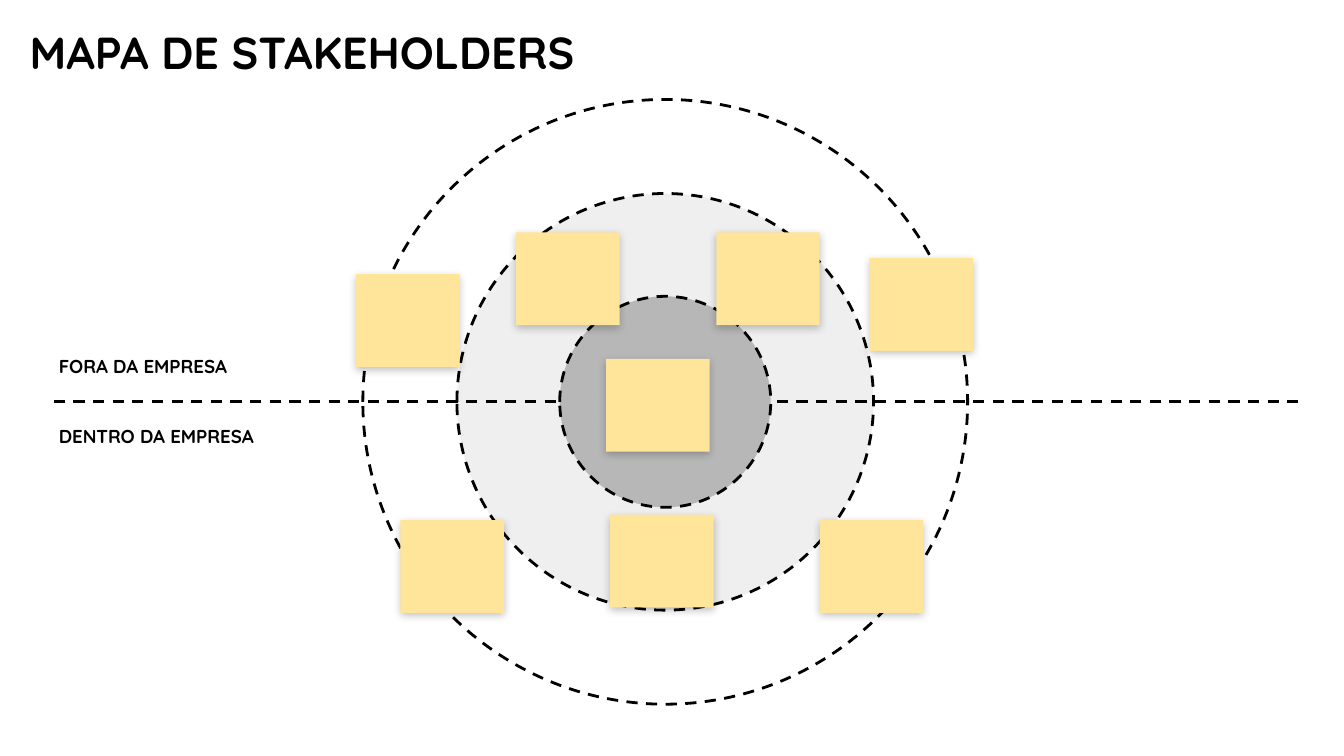
from lxml.etree import SubElement
from pptx import Presentation
from pptx.dml.color import RGBColor
from pptx.enum.dml import MSO_LINE as Dash
from pptx.enum.shapes import MSO_CONNECTOR as Conn, MSO_SHAPE as Kind
from pptx.enum.text import MSO_ANCHOR as Anchor, MSO_AUTO_SIZE as Fit, PP_ALIGN as Align
from pptx.oxml import parse_xml
from pptx.oxml.ns import nsdecls, qn
from pptx.util import Inches, Pt

BLACK = RGBColor(0x00, 0x00, 0x00)
WHITE = RGBColor(0xFF, 0xFF, 0xFF)
PALE = RGBColor(0xEF, 0xEF, 0xEF)
GREY = RGBColor(0xB7, 0xB7, 0xB7)
NOTE = RGBColor(0xFF, 0xE5, 0x99)

SHADE = (f'<a:outerShdw {nsdecls("a")} blurRad="{Pt(4.5)}" dist="{Pt(1.5)}" '
         'dir="5400000" algn="bl" rotWithShape="0">'
         '<a:srgbClr val="000000"><a:alpha val="24000"/></a:srgbClr></a:outerShdw>')

# A 16:9 slide
deck = Presentation()
deck.slide_width, deck.slide_height = Inches(10), Inches(10 * 9 / 16)
slide = deck.slides.add_slide(deck.slide_layouts[5])
shapes = slide.shapes
mid_x, mid_y = 4.95, 2.99


def stroke(line):
    line.color.rgb = BLACK
    line.width = Pt(1.5)
    line.dash_style = Dash.DASH


def write(box, text, size, inset):
    frame = box.text_frame
    frame.word_wrap = True
    frame.auto_size = Fit.NONE
    frame.vertical_anchor = Anchor.MIDDLE
    frame.margin_left = frame.margin_right = Inches(inset)
    frame.margin_top = frame.margin_bottom = Inches(inset)
    para = frame.paragraphs[0]
    para.alignment = Align.LEFT
    run = para.add_run()
    run.text = text
    font = run.font
    font.name, font.size, font.bold = "Quicksand", Pt(size), True
    font.color.rgb = BLACK


# Title
title = shapes.title
title.left, title.top = Inches(0.18), Inches(0.16)
title.width, title.height = Inches(8.38), Inches(0.45)
write(title, "MAPA DE STAKEHOLDERS", 24, 0.04)

# Rings around one centre
for size, fill in ((4.5, WHITE), (3.1, PALE), (1.57, GREY)):
    ring = shapes.add_shape(Kind.OVAL, Inches(mid_x - size / 2), Inches(mid_y - size / 2),
                            Inches(size), Inches(size))
    ring.shadow.inherit = False
    ring.fill.solid()
    ring.fill.fore_color.rgb = fill
    stroke(ring.line)

# Border between outside and inside
for start, end in ((0.4, 4.17), (5.78, 9.71)):
    rule = shapes.add_connector(Conn.STRAIGHT, Inches(start), Inches(mid_y),
                                Inches(end), Inches(mid_y))
    stroke(rule.line)
    SubElement(rule._element.spPr, qn("a:effectLst"))

# Labels above and below the border
for text, top, width in (("FORA DA EMPRESA", 2.54, 2.55), ("DENTRO DA EMPRESA", 3.06, 2.86)):
    label = shapes.add_textbox(Inches(0.34), Inches(top), Inches(width), Inches(0.37))
    write(label, text, 10, 0.1)

# Sticky notes
spots = ((4.51, 2.67), (2.65, 2.04), (3.84, 1.73), (5.33, 1.73),
         (4.54, 3.83), (2.98, 3.87), (6.1, 3.87), (6.47, 1.92))
for left, top in spots:
    note = shapes.add_shape(Kind.RECTANGLE, Inches(left), Inches(top), Inches(0.77), Inches(0.69))
    note.fill.solid()
    note.fill.fore_color.rgb = NOTE
    note.line.fill.background()
    note.shadow.inherit = False
    note._element.spPr.find(qn("a:effectLst")).append(parse_xml(SHADE))

deck.save("out.pptx")
